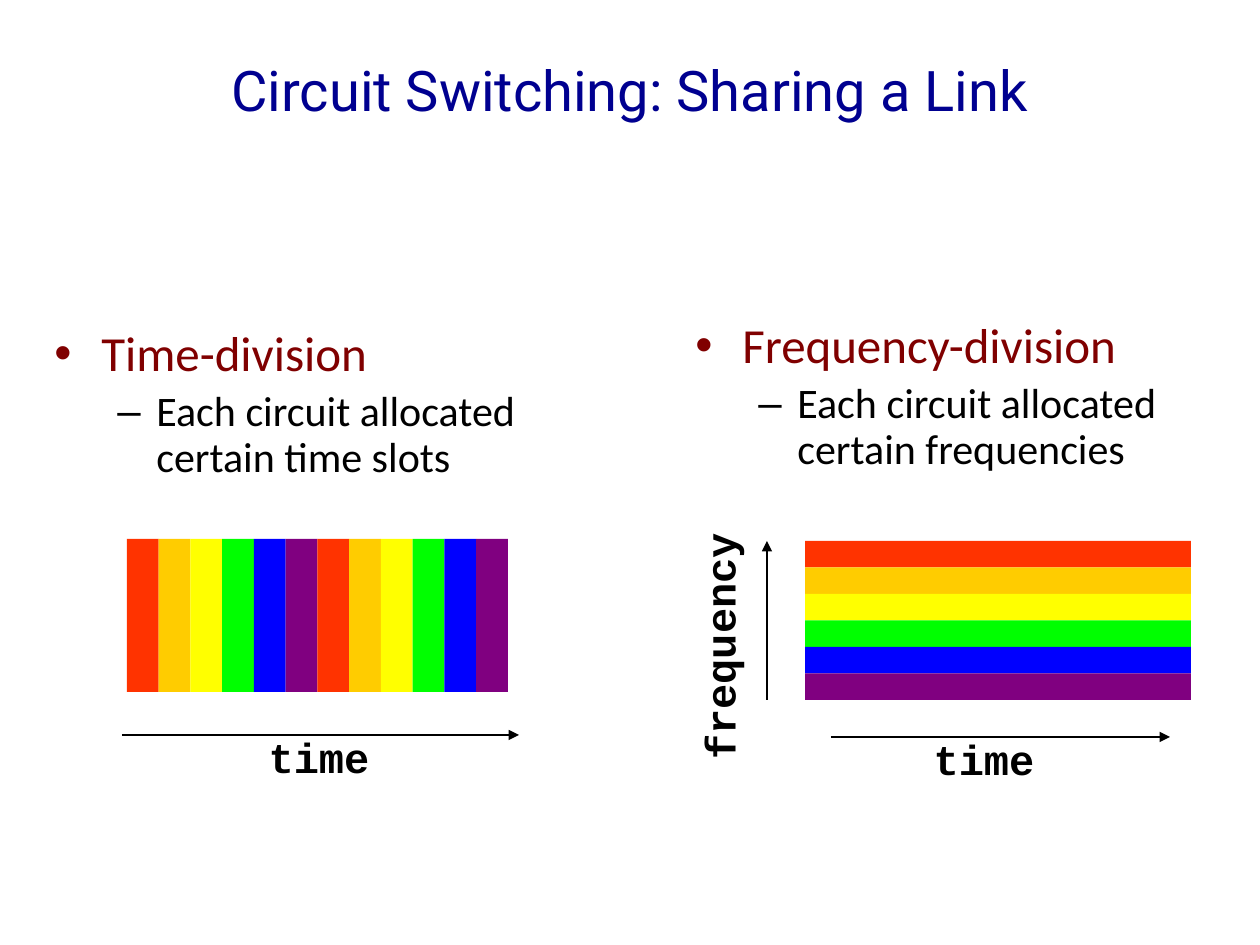
import pptx
import pptx.util
import pptx.dml.color
import pptx.enum.shapes
import pptx.enum.text
import pptx.oxml.ns
from lxml import etree

RGB = pptx.dml.color.RGBColor
NAVY = RGB(0x00, 0x00, 0x90)
MAROON = RGB(0x80, 0x00, 0x00)
BLACK = RGB(0x00, 0x00, 0x00)
CIRCUITS = [
    RGB(0xFF, 0x33, 0x00), RGB(0xFF, 0xCC, 0x00), RGB(0xFF, 0xFF, 0x00),
    RGB(0x00, 0xFF, 0x00), RGB(0x00, 0x00, 0xFF), RGB(0x80, 0x00, 0x80),
]
RECT = pptx.enum.shapes.MSO_SHAPE.RECTANGLE
STRAIGHT = pptx.enum.shapes.MSO_CONNECTOR.STRAIGHT
CENTER = pptx.enum.text.PP_ALIGN.CENTER
qn = pptx.oxml.ns.qn


def px(*values):
    """126 px to the inch, in EMU."""
    return [pptx.util.Emu(round(v * 914400 / 126)) for v in values]


def style(p, font, size, color, bold=False):
    for r in p.runs:
        r.font.name = font
        r.font.size = pptx.util.Pt(size)
        r.font.color.rgb = color
        r.font.bold = bold


prs = pptx.Presentation()
prs.slide_width, prs.slide_height = px(1260, 945)
s = prs.slides.add_slide(prs.slide_layouts[6])

# Title
tf = s.shapes.add_textbox(*px(63, 10, 1134, 158)).text_frame
tf.word_wrap = True
tf.vertical_anchor = pptx.enum.text.MSO_ANCHOR.MIDDLE
tf.text = "Circuit Switching: Sharing a Link"
tf.paragraphs[0].alignment = CENTER
style(tf.paragraphs[0], "Roboto", 32, NAVY)

# Bulleted text: a heading and one sub-item in each column
columns = [
    ((42, 323, 557, 189), "Time-division",
     "Each circuit allocated\vcertain time slots"),
    ((683, 315, 572, 178), "Frequency-division",
     "Each circuit allocated certain frequencies"),
]
for box, heading, detail in columns:
    tf = s.shapes.add_textbox(*px(*box)).text_frame
    tf.word_wrap = True
    levels = [
        (tf.paragraphs[0], heading, "•", 47, -47, 28, MAROON),
        (tf.add_paragraph(), detail, "–", 102, -39, 24, BLACK),
    ]
    for level, (p, text, bullet, margin, indent, size, color) in enumerate(levels):
        p.text = text
        p.level = level
        pPr = p._p.get_or_add_pPr()
        pPr.set("marL", str(px(margin)[0]))
        pPr.set("indent", str(px(indent)[0]))
        etree.SubElement(pPr, qn("a:buFont"), typeface="Arial")
        etree.SubElement(pPr, qn("a:buChar"), char=bullet)
        p.line_spacing = 0.9
        p.space_before = pptx.util.Pt(4.8 * level)
        style(p, "Calibri", size, color)

# Time slots (vertical, two rounds) and frequency bands (horizontal)
slots = CIRCUITS * 2
slot_w = 381 / len(slots)
band_h = 159 / len(CIRCUITS)
bars = [(c, (127 + i * slot_w, 539, slot_w, 153)) for i, c in enumerate(slots)]
bars += [(c, (805, 541 + i * band_h, 386, band_h)) for i, c in enumerate(CIRCUITS)]
for color, box in bars:
    sp = s.shapes.add_shape(RECT, *px(*box))
    sp.shadow.inherit = False
    sp.fill.solid()
    sp.fill.fore_color.rgb = color
    sp.line.fill.background()

# Axis arrows
for ends in [(122, 735, 519, 735), (831, 737, 1170, 737), (767, 700, 767, 541)]:
    axis = s.shapes.add_connector(STRAIGHT, *px(*ends))
    axis.line.color.rgb = BLACK
    axis.line.width = pptx.util.Pt(0.75)
    etree.SubElement(axis.line._get_or_add_ln(), qn("a:tailEnd"), type="triangle")
    etree.SubElement(axis._element.spPr, qn("a:effectLst"))

# Axis labels
labels = [
    ("time", (256, 725, 126, 63), 0),
    ("time", (921, 727, 126, 63), 0),
    ("frequency", (593, 615, 252, 63), 270),
]
for text, box, rotation in labels:
    sp = s.shapes.add_textbox(*px(*box))
    sp.rotation = rotation
    tf = sp.text_frame
    tf.word_wrap = False
    tf.auto_size = pptx.enum.text.MSO_AUTO_SIZE.SHAPE_TO_FIT_TEXT
    tf.text = text
    tf.paragraphs[0].alignment = CENTER
    style(tf.paragraphs[0], "Courier New", 24, BLACK, bold=True)

prs.save("out.pptx")
